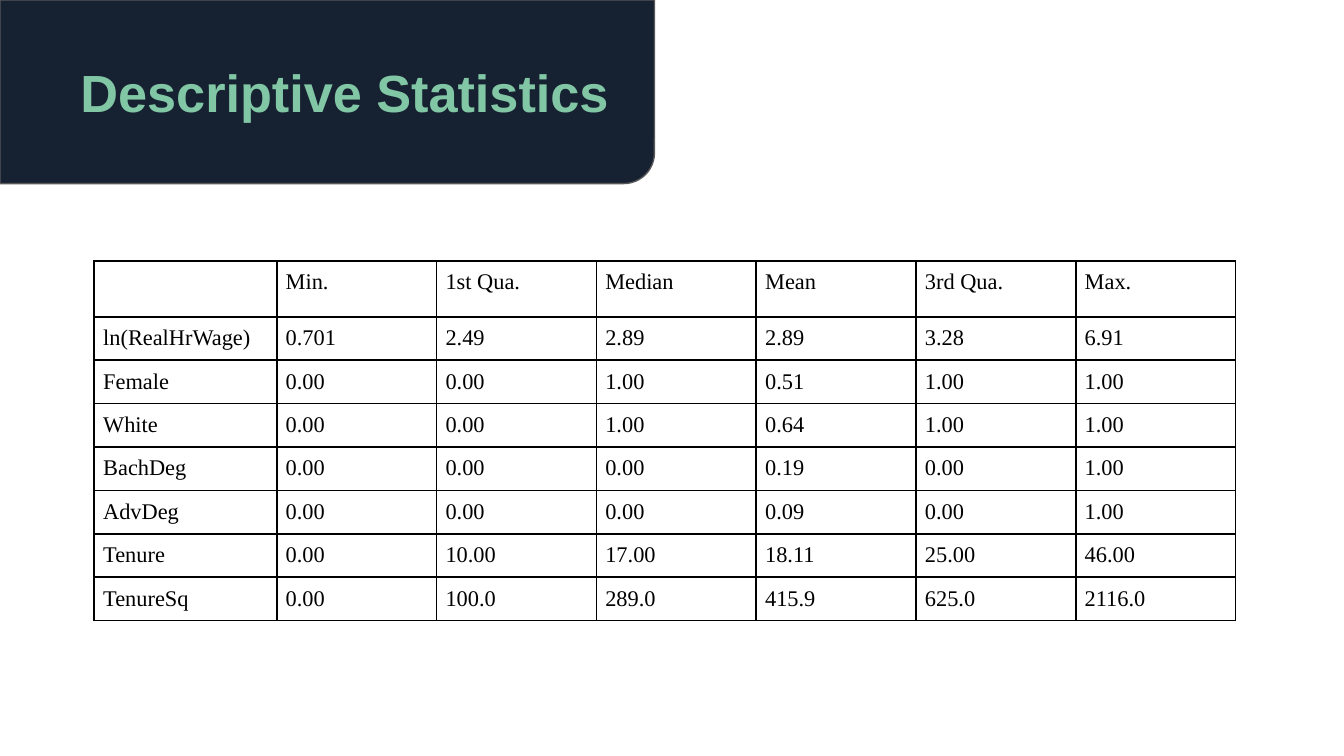
from typing import NamedTuple

from lxml import etree
from pptx import Presentation
from pptx import util as u
from pptx.dml.color import RGBColor
from pptx.enum import shapes, text
from pptx.oxml.ns import qn

NAVY, GREEN, GREY, BLACK = "162131", "82C7A5", "595959", "000000"


class Area(NamedTuple):
    left: float
    top: float
    width: float
    height: float

    def lengths(self) -> list:
        return [u.Cm(value) for value in self]


class Row(NamedTuple):
    label: str
    values: str
    height: float = 0.82


BANNER = Area(0, 0, 12.37, 3.47)
TABLE = Area(1.78, 4.93, 21.57, 6.8)
COLUMN_WIDTHS = [3.45] + [3.02] * 6
ROWS = [
    Row("", "Min.|1st Qua.|Median|Mean|3rd Qua.|Max.", 1.06),
    Row("ln(RealHrWage)", "0.701|2.49|2.89|2.89|3.28|6.91"),
    Row("Female", "0.00|0.00|1.00|0.51|1.00|1.00"),
    Row("White", "0.00|0.00|1.00|0.64|1.00|1.00"),
    Row("BachDeg", "0.00|0.00|0.00|0.19|0.00|1.00"),
    Row("AdvDeg", "0.00|0.00|0.00|0.09|0.00|1.00"),
    Row("Tenure", "0.00|10.00|17.00|18.11|25.00|46.00"),
    Row("TenureSq", "0.00|100.0|289.0|415.9|625.0|2116.0"),
]


def colour(code: str) -> RGBColor:
    return RGBColor.from_string(code)


def write(frame, words: str, *, font: str, size: float, ink: str,
          bold: bool = False, indent: float = 0) -> None:
    para = frame.paragraphs[0]
    para.alignment = text.PP_ALIGN.LEFT
    if indent:
        properties = para._p.get_or_add_pPr()
        properties.set("marL", "0")
        properties.set("indent", str(u.Cm(indent)))
    if words:
        para.add_run().text = words
    # Format the paragraph too, so that an empty cell keeps its size
    for span in (para, *para.runs):
        span.font.name = font
        span.font.size = u.Pt(size)
        span.font.bold = bold
        span.font.color.rgb = colour(ink)


def set_margins(holder, margin: float) -> None:
    for side in ("left", "top", "right", "bottom"):
        setattr(holder, f"margin_{side}", u.Cm(margin))


def add_borders(cell, ink: str, width: float) -> None:
    properties = cell._tc.get_or_add_tcPr()
    for position, side in enumerate(("lnL", "lnR", "lnT", "lnB")):
        line = etree.Element(qn(f"a:{side}"), w=str(u.Pt(width)))
        fill = etree.SubElement(line, qn("a:solidFill"))
        etree.SubElement(fill, qn("a:srgbClr"), val=ink)
        properties.insert(position, line)


def add_banner(page, area: Area) -> None:
    box = page.shapes.add_shape(shapes.MSO_SHAPE.ROUND_1_RECTANGLE, *area.lengths())
    box.shadow.inherit = False
    box.adjustments[0] = 0.167
    box.rotation = 180
    box._element.spPr.xfrm.set("flipH", "1")
    box.fill.solid()
    box.fill.fore_color.rgb = colour(NAVY)
    box.line.color.rgb = colour(GREY)
    box.line.width = u.Pt(0.75)
    # Send the banner behind the title
    page.shapes.title._element.addprevious(box._element)


def add_title(page, words: str, area: Area) -> None:
    title = page.shapes.title
    title.left, title.top, title.width, title.height = area.lengths()
    frame = title.text_frame
    frame.auto_size = text.MSO_AUTO_SIZE.NONE
    frame.vertical_anchor = text.MSO_ANCHOR.MIDDLE
    frame.word_wrap = True
    set_margins(frame, 0.25)
    write(frame, words, font="Arial", size=28, ink=GREEN, bold=True, indent=1.27)


def add_statistics(page, rows: list[Row], area: Area) -> None:
    table = page.shapes.add_table(len(rows), len(COLUMN_WIDTHS), *area.lengths()).table
    table.first_row = table.horz_banding = False
    for column, width in zip(table.columns, COLUMN_WIDTHS):
        column.width = u.Cm(width)
    for table_row, row in zip(table.rows, rows):
        table_row.height = u.Cm(row.height)
        for cell, words in zip(table_row.cells, [row.label, *row.values.split("|")]):
            cell.fill.background()
            set_margins(cell, 0.17)
            add_borders(cell, BLACK, 1)
            write(cell.text_frame, words, font="Times New Roman", size=12, ink=BLACK)


def main() -> None:
    deck = Presentation()
    deck.slide_width, deck.slide_height = u.Cm(25.4), u.Cm(14.29)
    page = deck.slides.add_slide(deck.slide_layouts[5])  # title only

    # Heading
    add_banner(page, BANNER)
    add_title(page, "Descriptive Statistics", BANNER)

    # Summary of the variables
    add_statistics(page, ROWS, TABLE)

    deck.save("out.pptx")


if __name__ == "__main__":
    main()
